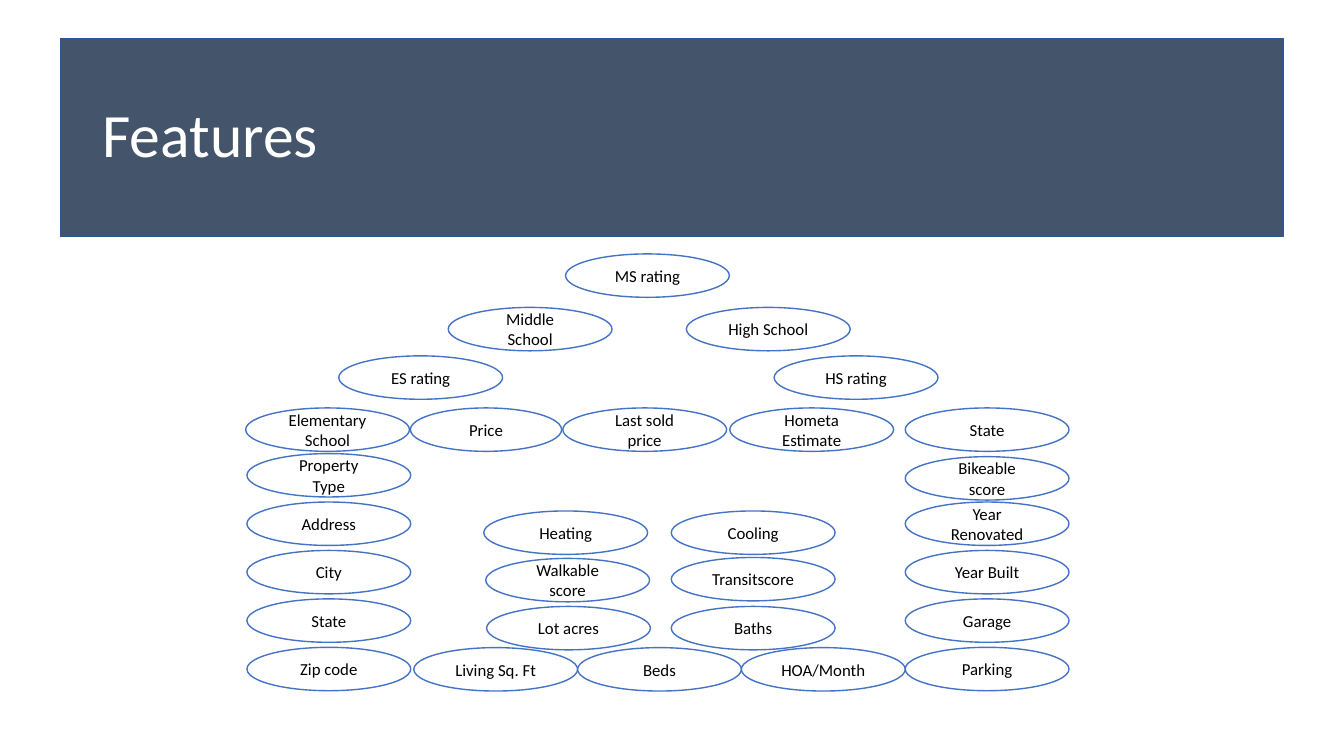
"""Build a slide of housing features arranged in the outline of a house."""
from pptx import Presentation
from pptx.dml.color import RGBColor
from pptx.enum.shapes import MSO_SHAPE
from pptx.enum.text import MSO_ANCHOR, PP_ALIGN
from pptx.util import Pt


def color(hex_string):
    return RGBColor.from_string(hex_string)


def add_panel(preset, left, top, width, height, fill, line):
    shape = slide.shapes.add_shape(preset, Pt(left), Pt(top), Pt(width), Pt(height))
    shape.shadow.inherit = False
    shape.fill.solid()
    shape.fill.fore_color.rgb = color(fill)
    shape.line.color.rgb = color(line)
    shape.line.width = Pt(1)
    return shape


presentation = Presentation()
presentation.slide_width = Pt(960)
presentation.slide_height = Pt(540)
slide = presentation.slides.add_slide(presentation.slide_layouts[5])

banner = add_panel(MSO_SHAPE.RECTANGLE, 43.2, 27.4, 873.4, 141.8, "44546A", "325491")

title = slide.shapes.title
banner.element.addnext(title.element)
title.left, title.top, title.width, title.height = Pt(66), Pt(46), Pt(828), Pt(104.4)
title.text_frame.text = "Features"
title.text_frame.vertical_anchor = MSO_ANCHOR.MIDDLE
paragraph = title.text_frame.paragraphs[0]
paragraph.alignment = PP_ALIGN.LEFT
paragraph.line_spacing = 0.9
paragraph.font.name = "Calibri"
paragraph.font.size = Pt(44)
paragraph.font.color.rgb = color("FFFFFF")

oval_width, oval_height = 117, 31
left_wall, right_wall = 176.4, 646.6
wall_top, wall_pitch = 324, 34.6
ceiling_top, floor_top = 291.4, 462.6

roof = [
    ("MS rating", 404, 181.4),
    ("Middle School", 320.2, 219.6),
    ("High School", 490.3, 219.6),
    ("ES rating", 242, 254.2),
    ("HS rating", 553, 254.2),
]
ceiling = [
    ("Elementary School", 175.5, ceiling_top),
    ("Price", 293.2, ceiling_top),
    ("Last sold price", 402, ceiling_top),
    ("Hometa Estimate", 521.3, ceiling_top),
    ("State", right_wall, ceiling_top),
]
rooms = [
    ("Heating", 345.6, 365),
    ("Cooling", 479.5, 365),
    ("Walkable score", 347, 398.9),
    ("Transitscore", 479.5, 398.2),
    ("Lot acres", 347.6, 433.2),
    ("Baths", 479.5, 433.2),
]
left_labels = ["Property\nType", "Address", "City", "State", "Zip code"]
left_side = [
    (label, left_wall, wall_top + row * wall_pitch)
    for row, label in enumerate(left_labels)
]
right_labels = ["Year Renovated", "Year Built", "Garage", "Parking"]
right_side = [("Bikeable\nscore", right_wall, 326.2)] + [
    (label, right_wall, wall_top + row * wall_pitch)
    for row, label in enumerate(right_labels, start=1)
]
floor = [
    (label, right_wall - (3 - column) * oval_width, floor_top)
    for column, label in enumerate(["Living Sq. Ft", "Beds", "HOA/Month"])
]

for label, left, top in roof + ceiling + rooms + left_side + right_side + floor:
    width = 108 if label == "Price" else oval_width
    oval = add_panel(MSO_SHAPE.OVAL, left, top, width, oval_height, "FFFFFF", "4472C4")
    oval.text_frame.text = label
    oval.text_frame.word_wrap = True
    oval.text_frame.vertical_anchor = MSO_ANCHOR.MIDDLE
    for paragraph in oval.text_frame.paragraphs:
        paragraph.alignment = PP_ALIGN.CENTER
        paragraph.font.name = "Calibri"
        paragraph.font.size = Pt(12)
        paragraph.font.color.rgb = color("000000")

presentation.save("out.pptx")
